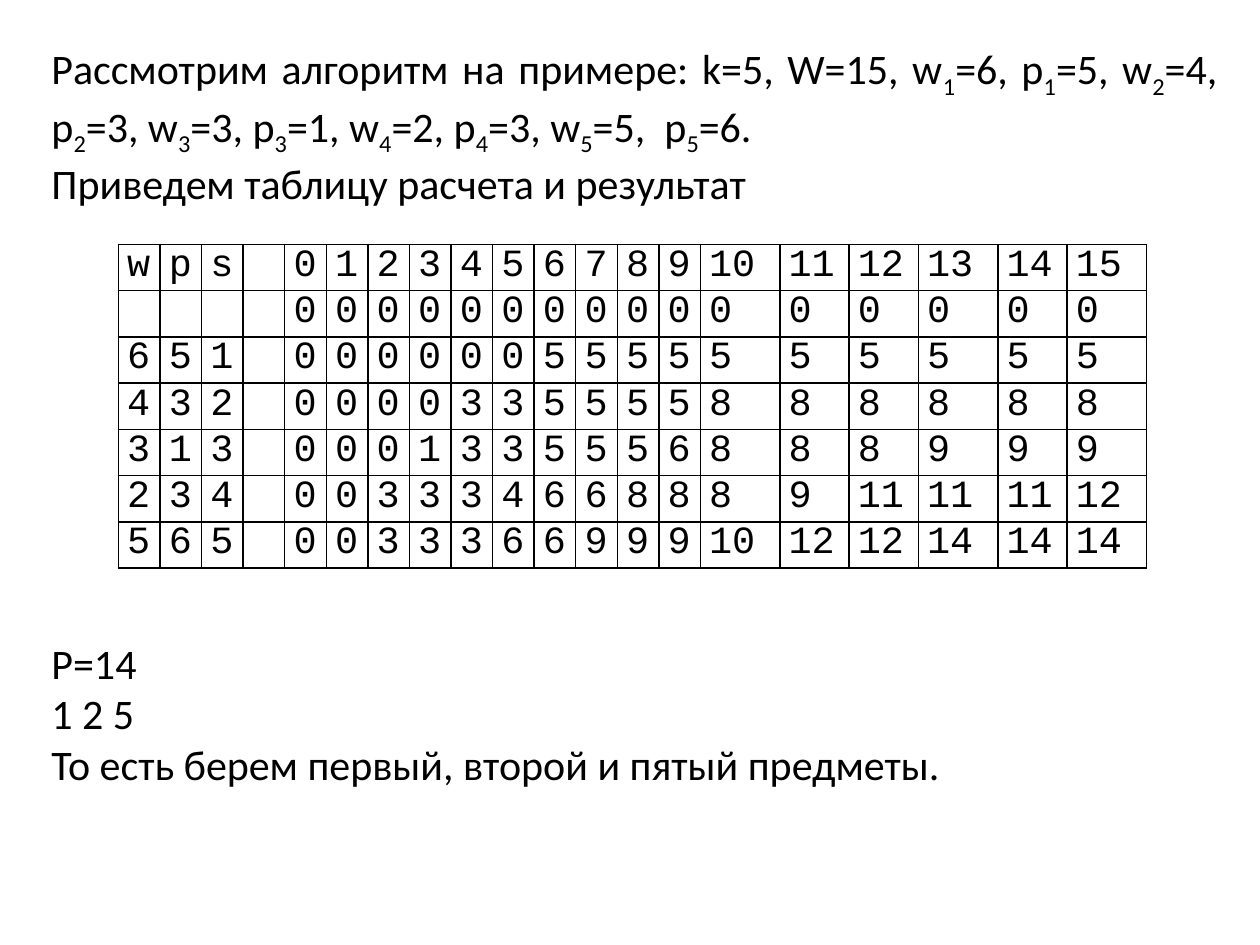
from lxml import etree
from pptx import Presentation
from pptx.dml.color import RGBColor
from pptx.enum import text
from pptx.oxml.ns import qn
from pptx.util import Inches, Pt

BLACK = RGBColor(0, 0, 0)

# An underscore marks the next character as a subscript.
INTRO = [
    "Рассмотрим алгоритм на примере: k=5, W=15, w_1=6, p_1=5, w_2=4, "
    "p_2=3, w_3=3, p_3=1, w_4=2, p_4=3, w_5=5,  p_5=6.",
    "Приведем таблицу расчета и результат",
]
RESULT = ["P=14", "1 2 5", "То есть берем первый, второй и пятый предметы."]

# Weight, profit and item number, then the best profit for each capacity.
ROWS = [
    ("wps", range(16)),
    ("", [0] * 16),
    ("651", [0] * 6 + [5] * 10),
    ("432", [0] * 4 + [3] * 2 + [5] * 4 + [8] * 6),
    ("313", [0, 0, 0, 1, 3, 3, 5, 5, 5, 6, 8, 8, 8, 9, 9, 9]),
    ("234", [0, 0, 3, 3, 3, 4, 6, 6, 8, 8, 8, 9, 11, 11, 11, 12]),
    ("565", [0, 0, 3, 3, 3, 6, 6, 9, 9, 9, 10, 12, 12, 14, 14, 14]),
]
COLUMN_WIDTHS = [0.33] * 14 + [0.63, 0.55, 0.55, 0.63, 0.55, 0.63]


def add_run(paragraph, words, font_name, size):
    run = paragraph.add_run()
    run.text = words
    run.font.name = font_name
    run.font.size = Pt(size)
    run.font.color.rgb = BLACK
    return run


def add_border(cell):
    """Draw a 1 pt black line on all four sides of the cell."""
    properties = cell._tc.get_or_add_tcPr()
    for position, side in enumerate(("a:lnL", "a:lnR", "a:lnT", "a:lnB")):
        line = etree.Element(qn(side), w=str(Pt(1)))
        fill = etree.SubElement(line, qn("a:solidFill"))
        etree.SubElement(fill, qn("a:srgbClr"), val=str(BLACK))
        properties.insert(position, line)


prs = Presentation()
prs.slide_width, prs.slide_height = Inches(10), Inches(7.5)
slide = prs.slides.add_slide(prs.slide_layouts[6])

for lines, top, width, height, alignment in (
    (INTRO, 0.29, 9.45, 1.31, text.PP_ALIGN.JUSTIFY),
    (RESULT, 5.01, 9.26, 1.72, text.PP_ALIGN.LEFT),
):
    frame = slide.shapes.add_textbox(
        Inches(0.31), Inches(top), Inches(width), Inches(height)
    ).text_frame
    frame.word_wrap = True
    for index, line in enumerate(lines):
        paragraph = frame.add_paragraph() if index else frame.paragraphs[0]
        paragraph.alignment = alignment
        start, *subscripted = line.split("_")
        add_run(paragraph, start, "Calibri", 24)
        for part in subscripted:
            subscript = add_run(paragraph, part[0], "Calibri", 24)
            subscript.font._element.set("baseline", "-25000")
            add_run(paragraph, part[1:], "Calibri", 24)

table = slide.shapes.add_table(
    len(ROWS), len(COLUMN_WIDTHS),
    Inches(0.94), Inches(1.94), Inches(sum(COLUMN_WIDTHS)), Inches(2.57),
).table
table.first_row = table.horz_banding = False
for column, width in zip(table.columns, COLUMN_WIDTHS):
    column.width = Inches(width)

for row, (item, profits) in zip(table.rows, ROWS):
    values = list(item.ljust(4)) + [str(profit) for profit in profits]
    for cell, value in zip(row.cells, values):
        cell.fill.background()
        add_border(cell)
        cell.margin_left = cell.margin_right = Inches(0.07)
        cell.margin_top = cell.margin_bottom = 0
        paragraph = cell.text_frame.paragraphs[0]
        paragraph.alignment = text.PP_ALIGN.JUSTIFY
        paragraph.space_before = paragraph.space_after = Pt(2)
        if value.strip():
            add_run(paragraph, value, "Courier New", 22)

prs.save("out.pptx")
